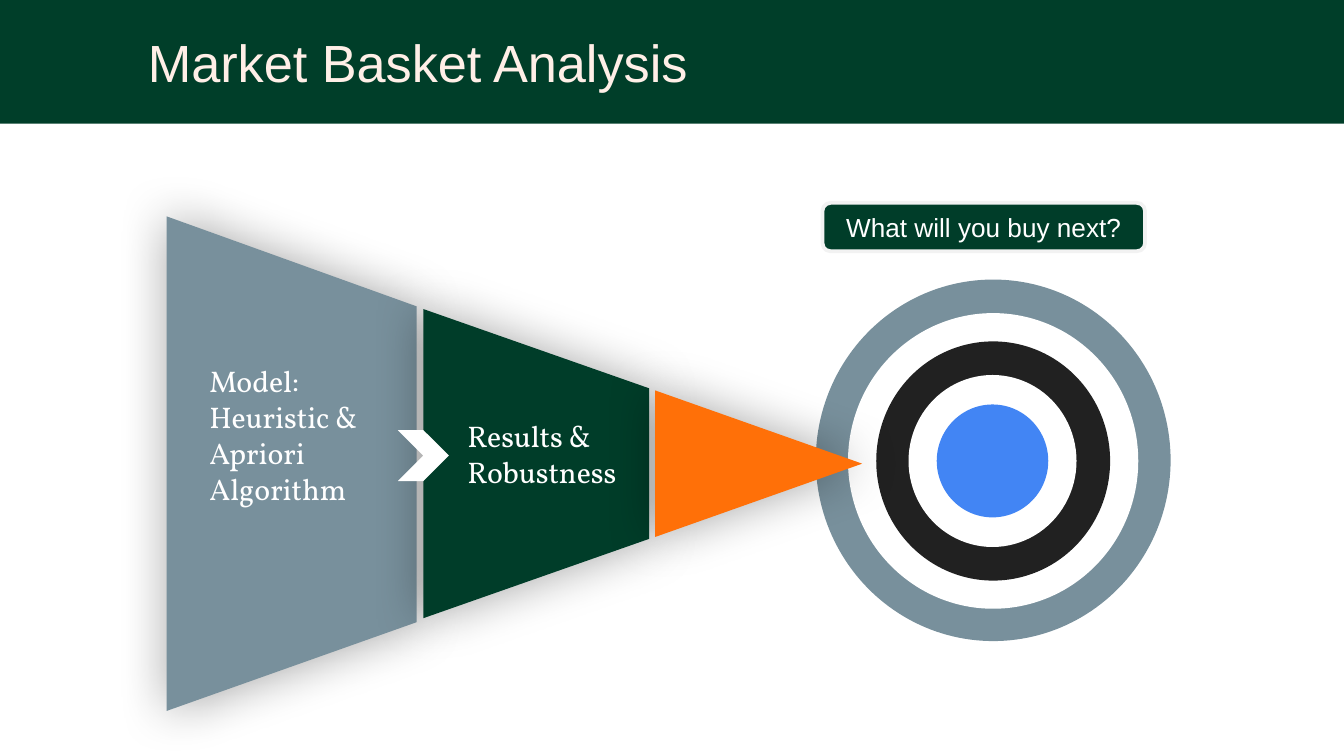
"""Build a market basket analysis slide with a funnel pointing at a target."""
from dataclasses import dataclass

from lxml.etree import SubElement
from pptx import Presentation
from pptx.dml.color import RGBColor
from pptx.enum.shapes import MSO_SHAPE
from pptx.enum.text import MSO_ANCHOR, MSO_AUTO_SIZE, PP_ALIGN
from pptx.oxml.ns import qn
from pptx.util import Emu, Pt

PX = 9144
SLIDE_WIDTH = 1000 * PX
SLIDE_HEIGHT = SLIDE_WIDTH * 9 // 16
COLORS = {
    "header": "003E29",
    "green": "003D29",
    "cream": "FFEFE7",
    "border": "F2F2F2",
    "slate": "78909C",
    "black": "212121",
    "blue": "4285F4",
    "orange": "FF7008",
    "white": "FFFFFF",
}


@dataclass(frozen=True)
class Frame:
    left: int
    top: int
    width: int
    height: int

    def emu(self) -> list[Emu]:
        return [Emu(v * PX) for v in (self.left, self.top, self.width, self.height)]


@dataclass(frozen=True)
class Ring:
    frame: Frame
    color: str


@dataclass(frozen=True)
class Band:
    left: int
    right: int
    left_span: tuple[int, int]
    right_span: tuple[int, int]
    color: str


@dataclass(frozen=True)
class Label:
    frame: Frame
    text: str
    bottom_inset: int = 5


RINGS = [
    Ring(Frame(607, 208, 264, 269), "slate"),
    Ring(Frame(631, 233, 216, 220), "white"),
    Ring(Frame(652, 254, 174, 178), "black"),
    Ring(Frame(676, 279, 125, 128), "white"),
    Ring(Frame(697, 301, 83, 84), "blue"),
    Ring(Frame(716, 320, 45, 46), "blue"),
]
BANDS = [
    Band(124, 310, (161, 529), (228, 463), "slate"),
    Band(315, 483, (230, 460), (289, 401), "green"),
]
LABELS = [
    Label(Frame(338, 287, 137, 101), "Results & Robustness"),
    Label(Frame(146, 270, 137, 131), "Model:\nHeuristic & Apriori Algorithm", 29),
]


def rgb(name: str) -> RGBColor:
    return RGBColor.from_string(COLORS[name])


def paint(shape, color: str) -> None:
    shape.shadow.inherit = False
    shape.fill.solid()
    shape.fill.fore_color.rgb = rgb(color)
    shape.line.fill.background()


def add_preset(slide, kind: MSO_SHAPE, frame: Frame, color: str):
    shape = slide.shapes.add_shape(kind, *frame.emu())
    paint(shape, color)
    return shape


def add_glow_shadow(shape) -> None:
    effects = shape._element.spPr.find(qn("a:effectLst"))
    shadow = SubElement(effects, qn("a:outerShdw"), blurRad=str(Pt(27)), dist="0",
                        dir="0", algn="ctr", rotWithShape="0")
    color = SubElement(shadow, qn("a:srgbClr"), val="000000")
    SubElement(color, qn("a:alpha"), val="34000")


def write(shape, text: str, font: str, size: int, color: str,
          align: PP_ALIGN = PP_ALIGN.LEFT, top: int = 5, bottom: int = 5) -> None:
    text_frame = shape.text_frame
    text_frame.text = text
    text_frame.word_wrap = True
    text_frame.auto_size = MSO_AUTO_SIZE.NONE
    text_frame.vertical_anchor = MSO_ANCHOR.MIDDLE
    text_frame.margin_left = text_frame.margin_right = Emu(10 * PX)
    text_frame.margin_top = Emu(top * PX)
    text_frame.margin_bottom = Emu(bottom * PX)
    for para in text_frame.paragraphs:
        para.alignment = align
        for span in para.runs:
            span.font.name = font
            span.font.size = Pt(size)
            span.font.color.rgb = rgb(color)


def add_title(slide) -> None:
    title = slide.shapes.title
    title.left, title.top, title.width, title.height = Frame(0, 0, 1000, 92).emu()
    title.fill.solid()
    title.fill.fore_color.rgb = rgb("header")
    write(title, "Market Basket Analysis", "Arial", 28, "cream", top=10, bottom=10)
    properties = title.text_frame.paragraphs[0]._p.get_or_add_pPr()
    properties.set("marL", str(50 * PX))
    properties.set("indent", str(50 * PX))


def add_question(slide) -> None:
    box = add_preset(slide, MSO_SHAPE.ROUNDED_RECTANGLE, Frame(612, 151, 240, 36), "green")
    box.line.color.rgb = rgb("border")
    box.line.width = Pt(2)
    write(box, "What will you buy next?", "Arial", 14, "white", PP_ALIGN.CENTER)


def add_band(slide, band: Band) -> None:
    builder = slide.shapes.build_freeform(band.left, band.left_span[0], scale=PX)
    builder.add_line_segments([
        (band.right, band.right_span[0]),
        (band.right, band.right_span[1]),
        (band.left, band.left_span[1]),
    ], close=True)
    shape = builder.convert_to_shape()
    paint(shape, band.color)
    add_glow_shadow(shape)


def add_funnel(slide) -> None:
    for band in BANDS:
        add_band(slide, band)
    tip = add_preset(slide, MSO_SHAPE.ISOSCELES_TRIANGLE, Frame(510, 268, 109, 154), "orange")
    tip.rotation = 90
    add_glow_shadow(tip)
    add_preset(slide, MSO_SHAPE.CHEVRON, Frame(296, 320, 38, 38), "white")


def add_label(slide, label: Label) -> None:
    box = slide.shapes.add_textbox(*label.frame.emu())
    write(box, label.text, "Vollkorn", 16, "white", bottom=label.bottom_inset)


def main() -> None:
    deck = Presentation()
    deck.slide_width, deck.slide_height = Emu(SLIDE_WIDTH), Emu(SLIDE_HEIGHT)
    page = deck.slides.add_slide(deck.slide_layouts[5])
    add_title(page)
    add_question(page)
    for ring in RINGS:
        add_preset(page, MSO_SHAPE.OVAL, ring.frame, ring.color)
    add_funnel(page)
    for label in LABELS:
        add_label(page, label)
    deck.save("out.pptx")


if __name__ == "__main__":
    main()
